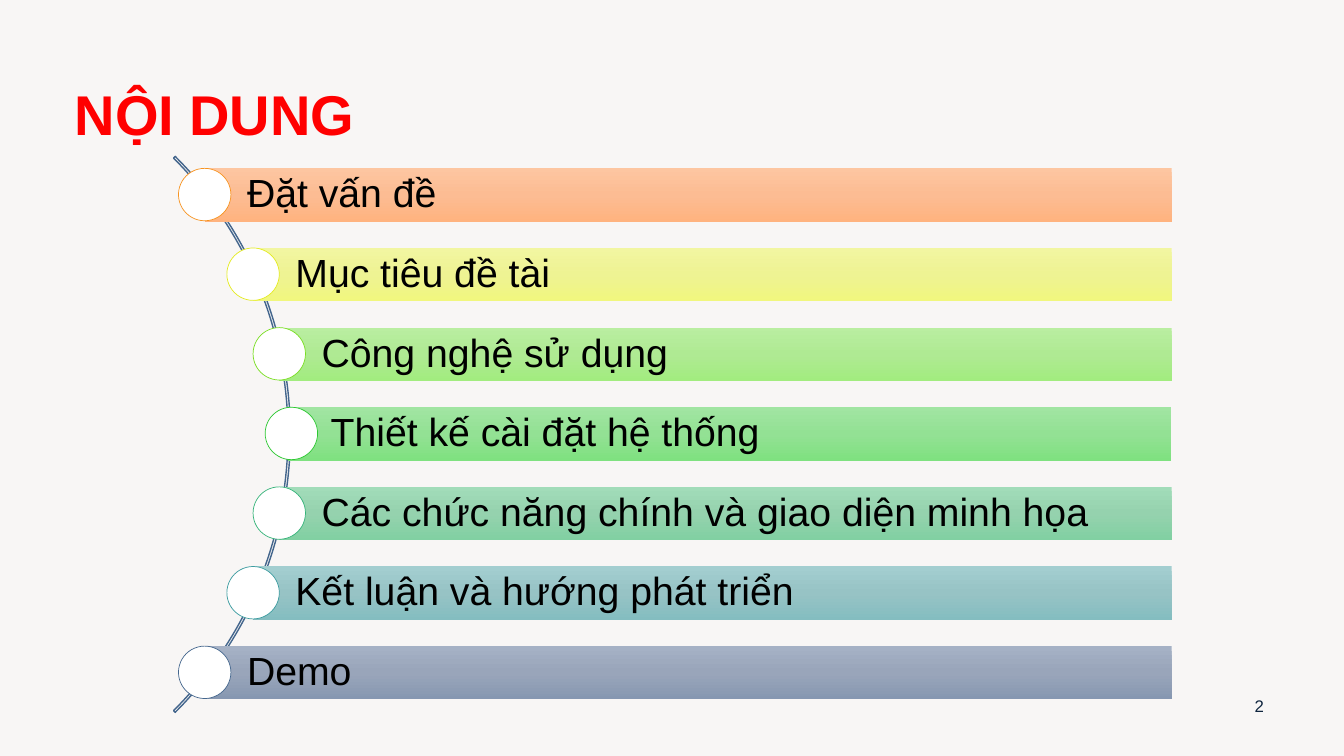
"""Build the contents slide: seven gradient bars hung along an arc."""
from copy import deepcopy
from dataclasses import dataclass

from pptx import Presentation
from pptx.dml.color import RGBColor
from pptx.enum.shapes import MSO_SHAPE
from pptx.enum.text import MSO_ANCHOR, MSO_AUTO_SIZE, PP_ALIGN
from pptx.oxml.ns import qn
from pptx.util import Inches, Pt


@dataclass(frozen=True)
class Theme:
    font: str = "Arial"
    background: str = "F8F6F5"
    title: str = "FF0000"
    text: str = "000000"
    number: str = "0F253E"
    arc: str = "44668D"
    marker: str = "FFFFFF"
    title_size: int = 40
    item_size: int = 28
    number_size: int = 12


THEME = Theme()
TITLE = "NỘI DUNG"
PAGE_NUMBER = "2"
ITEMS = [
    ("Đặt vấn đề", ("FDC6A1", "FCBC93", "FFB37F"), "F79320"),
    ("Mục tiêu đề tài", ("F2F6A1", "EEF393", "F1F77E"), "E4EB20"),
    ("Công nghệ sử dụng", ("BAEEA1", "AFEA93", "A2EC7F"), "79DE22"),
    ("Thiết kế cài đặt hệ thống", ("A1E5A2", "93E194", "7FE180"), "2CC831"),
    ("Các chức năng chính và giao diện minh họa", ("A2DCB9", "95D2AE", "81D0A2"), "35B379"),
    ("Kết luận và hướng phát triển ", ("A3CED0", "97C3C5", "84BDC0"), "3D9CA0"),
    ("Demo", ("A5B1C5", "99A5BA", "8697B1"), "44668D"),
]

BAR_LEFTS = (2.86, 2.77, 2.51, 2.03)
MARKER_LEFTS = (2.63, 2.51, 2.25, 1.77)
BAR_RIGHT, BAR_HEIGHT, MARKER_SIZE = 11.62, 0.53, 0.52
FIRST_TOP, ROW_STEP = 1.67, 0.79


def rgb(value):
    return RGBColor.from_string(value)


def add_shape(slide, kind, left, top, width, height):
    shape = slide.shapes.add_shape(
        kind, Inches(left), Inches(top), Inches(width), Inches(height))
    shape.shadow.inherit = False
    return shape


def write(shape, text, size, color, align=PP_ALIGN.LEFT, bold=False, line_spacing=None):
    frame = shape.text_frame
    frame.word_wrap = True
    frame.auto_size = MSO_AUTO_SIZE.NONE
    frame.vertical_anchor = MSO_ANCHOR.MIDDLE
    paragraph = frame.paragraphs[0]
    paragraph.text = text
    paragraph.alignment = align
    paragraph.line_spacing = line_spacing
    font = paragraph.font
    font.name, font.size, font.bold = THEME.font, Pt(size), bold
    font.color.rgb = rgb(color)


def fill_gradient(shape, colors):
    shape.fill.gradient()
    shape.fill.gradient_angle = 270
    stop_list = shape._element.spPr.find(".//" + qn("a:gsLst"))
    stop_list.insert(1, deepcopy(stop_list[0]))
    for stop, color, position in zip(shape.fill.gradient_stops, colors, (0, 0.5, 1)):
        stop.color.rgb = rgb(color)
        stop.position = position


def add_arc(slide):
    arc = add_shape(slide, MSO_SHAPE.BLOCK_ARC, -4.92, 0.41, 7.8, 7.8)
    for index, value in enumerate((189, 27, 0.003)):
        arc.adjustments[index] = value
    arc.fill.background()
    arc.line.color.rgb = rgb(THEME.arc)
    arc.line.width = Pt(1)


def add_item(slide, row, text, colors, outline):
    distance = abs(row - len(ITEMS) // 2)
    top = FIRST_TOP + row * ROW_STEP
    left = BAR_LEFTS[distance]
    bar = add_shape(slide, MSO_SHAPE.RECTANGLE, left, top, BAR_RIGHT - left, BAR_HEIGHT)
    fill_gradient(bar, colors)
    bar.line.fill.background()
    write(bar, text, THEME.item_size, THEME.text, line_spacing=0.9)
    frame = bar.text_frame
    frame.margin_left = Inches(0.42)
    frame.margin_top = frame.margin_right = frame.margin_bottom = Inches(0.08)

    marker = add_shape(
        slide, MSO_SHAPE.OVAL, MARKER_LEFTS[distance], top, MARKER_SIZE, MARKER_SIZE)
    marker.fill.solid()
    marker.fill.fore_color.rgb = rgb(THEME.marker)
    marker.line.color.rgb = rgb(outline)
    marker.line.width = Pt(0.5)


presentation = Presentation()
presentation.slide_width, presentation.slide_height = Inches(13.33), Inches(7.5)
slide = presentation.slides.add_slide(presentation.slide_layouts[5])
slide.background.fill.solid()
slide.background.fill.fore_color.rgb = rgb(THEME.background)

title = slide.shapes.title
title.left, title.top = Inches(0.64), Inches(0.55)
title.width, title.height = Inches(11.5), Inches(1.22)
write(title, TITLE, THEME.title_size, THEME.title, bold=True, line_spacing=0.9)

add_arc(slide)
for row, item in enumerate(ITEMS):
    add_item(slide, row, *item)

page_number = slide.shapes.add_textbox(Inches(12.24), Inches(6.8), Inches(0.5), Inches(0.4))
write(page_number, PAGE_NUMBER, THEME.number_size, THEME.number, PP_ALIGN.CENTER)

presentation.save("out.pptx")
